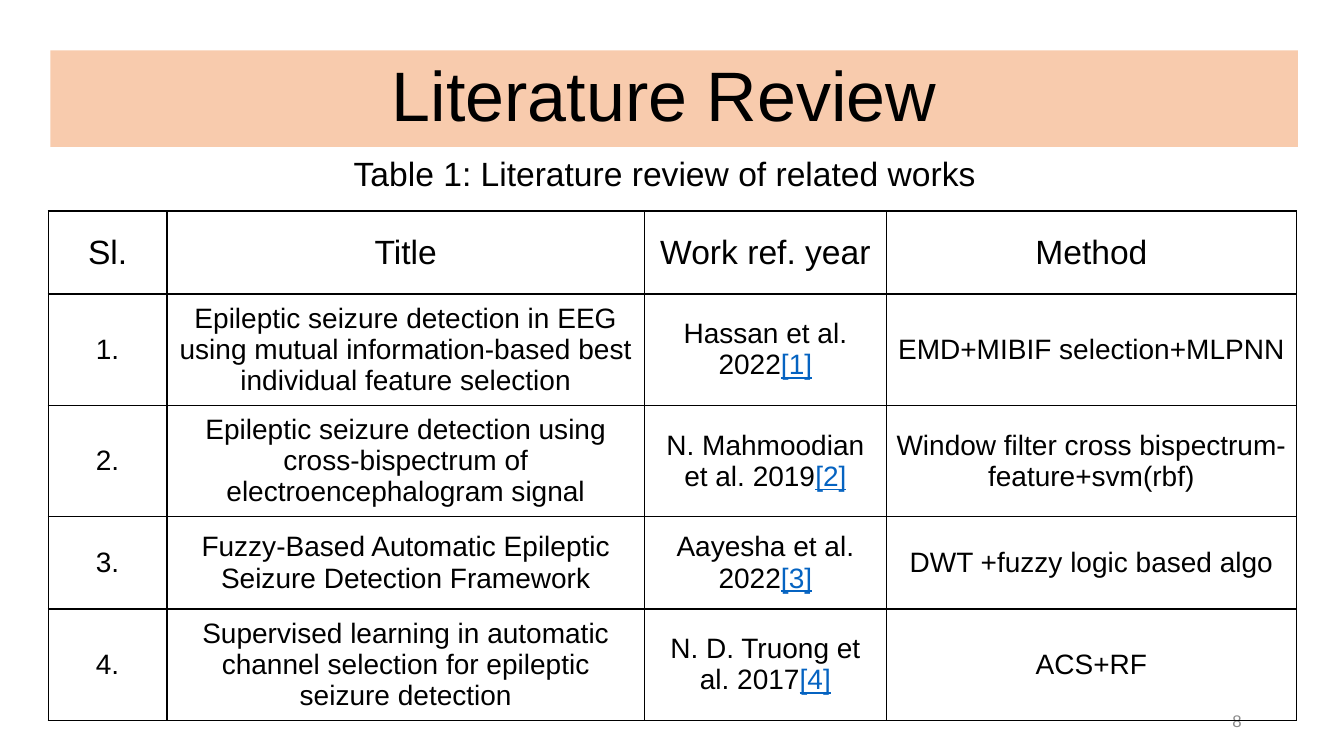
from pptx import Presentation
from pptx.dml.color import RGBColor
from pptx.enum.shapes import MSO_SHAPE
from pptx.enum.text import MSO_ANCHOR, MSO_AUTO_SIZE, PP_ALIGN
from pptx.oxml import parse_xml
from pptx.oxml.ns import nsdecls
from pptx.util import Pt

TITLE = "Literature Review "
CAPTION = "Table 1: Literature review of related works"
NUMBER = "8"
HEADS = ["Sl.", "Title", "Work ref. year", "Method"]
WORKS = [
    ("Epileptic seizure detection in EEG using mutual information-based best individual feature selection",
     "Hassan et al. 2022", "EMD+MIBIF selection+MLPNN"),
    ("Epileptic seizure detection using cross-bispectrum of electroencephalogram signal",
     "N. Mahmoodian et al. 2019", "Window filter cross bispectrum- feature+svm(rbf)"),
    ("Fuzzy-Based Automatic Epileptic Seizure Detection Framework",
     "Aayesha et al. 2022", "DWT +fuzzy logic based algo"),
    ("Supervised learning in automatic channel selection for epileptic seizure detection",
     "N. D. Truong et al. 2017", "ACS+RF"),
]
COLS = [113, 455, 230, 391]
ROWS = [79, 106, 106, 88, 106]

PX = 9525
FONT = "Arial"
BLACK = RGBColor(0, 0, 0)
GREY = RGBColor(0x8C, 0x8C, 0x8C)
BLUE = RGBColor(0x05, 0x63, 0xC1)
PEACH = RGBColor(0xF8, 0xCB, 0xAD)


def px(*nums):
    return [n * PX for n in nums]


def style(run, size, color=BLACK):
    run.font.name = FONT
    run.font.size = Pt(size)
    run.font.color.rgb = color


def write(frame, text, size, color=BLACK, align=PP_ALIGN.CENTER):
    frame.text = text
    frame.word_wrap = True
    para = frame.paragraphs[0]
    para.alignment = align
    style(para.runs[0], size, color)
    return para


def border(cell):
    props = cell._tc.get_or_add_tcPr()
    for i, side in enumerate(("lnL", "lnR", "lnT", "lnB")):
        props.insert(i, parse_xml(
            f'<a:{side} {nsdecls("a")} w="{Pt(1)}"><a:solidFill>'
            f'<a:srgbClr val="{BLACK}"/></a:solidFill></a:{side}>'))


def add_title(slide):
    band = slide.shapes.add_shape(MSO_SHAPE.RECTANGLE, *px(48, 48, 1188, 92))
    band.shadow.inherit = False
    band.fill.solid()
    band.fill.fore_color.rgb = PEACH
    band.line.fill.background()
    para = write(band.text_frame, TITLE, 50)
    para.line_spacing = 0.9
    band.text_frame.vertical_anchor = MSO_ANCHOR.MIDDLE


def add_number(slide):
    box = slide.shapes.add_textbox(*px(904, 667, 288, 38))
    write(box.text_frame, NUMBER, 12, GREY, PP_ALIGN.RIGHT)
    box.text_frame.vertical_anchor = MSO_ANCHOR.MIDDLE


def add_works(slide):
    grid = [HEADS] + [(f"{n}.", *work) for n, work in enumerate(WORKS, 1)]
    table = slide.shapes.add_table(
        len(ROWS), len(COLS), *px(46, 201, sum(COLS), sum(ROWS))).table
    table.first_row = False
    table.horz_banding = False
    for col, width in zip(table.columns, COLS):
        col.width = width * PX
    for r, texts in enumerate(grid):
        table.rows[r].height = ROWS[r] * PX
        for c, text in enumerate(texts):
            cell = table.cell(r, c)
            cell.fill.background()
            cell.vertical_anchor = MSO_ANCHOR.MIDDLE
            border(cell)
            para = write(cell.text_frame, text, 20 if r else 24)
            if r and c == 2:
                ref = para.add_run()
                ref.text = f"[{r}]"
                style(ref, 20, BLUE)
                ref.font.underline = True


def add_caption(slide):
    box = slide.shapes.add_textbox(*px(81, 141, 1104, 48))
    write(box.text_frame, CAPTION, 24)
    box.text_frame.auto_size = MSO_AUTO_SIZE.SHAPE_TO_FIT_TEXT


def main():
    deck = Presentation()
    deck.slide_width, deck.slide_height = px(1280, 720)
    slide = deck.slides.add_slide(deck.slide_layouts[6])
    add_title(slide)
    add_number(slide)
    add_works(slide)
    add_caption(slide)
    deck.save("out.pptx")


if __name__ == "__main__":
    main()
